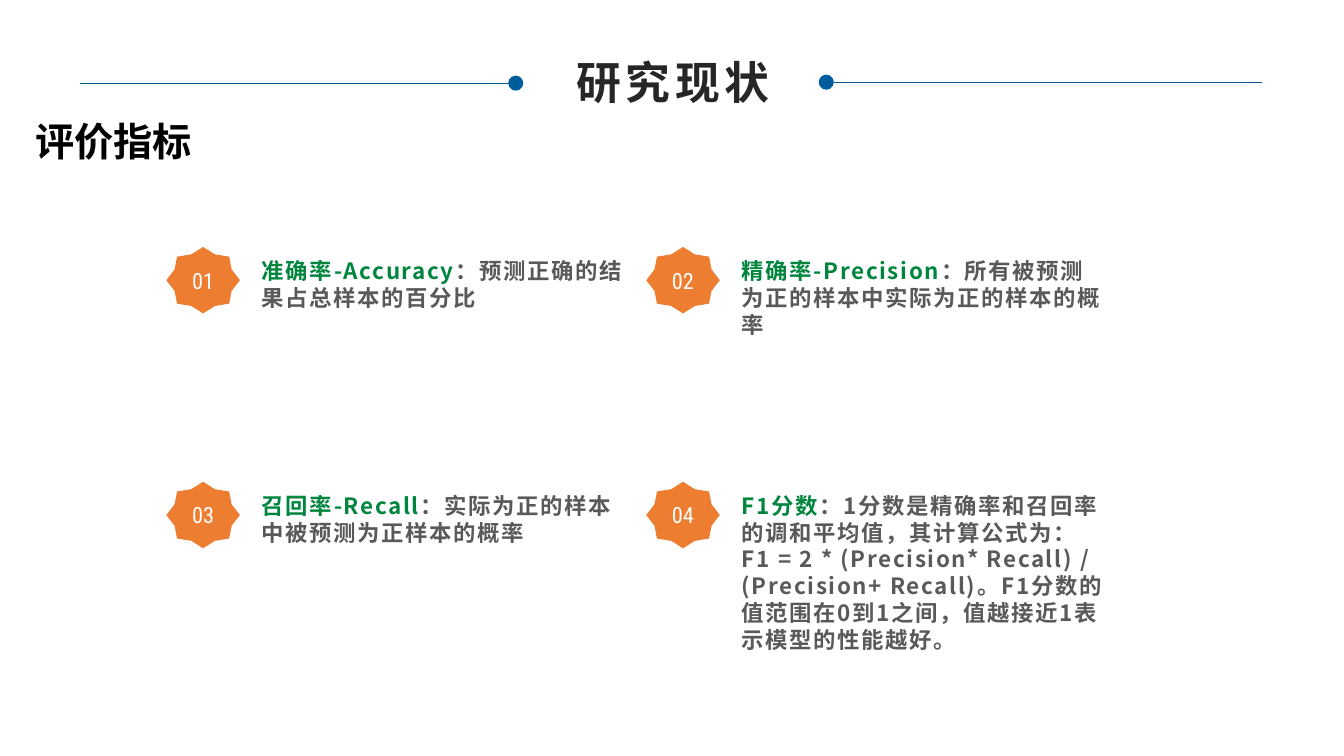
from pptx import Presentation
from pptx.dml.color import RGBColor
from pptx.enum import shapes, text
from pptx.oxml.ns import qn
from pptx.util import Pt
from lxml import etree

TITLE = "研究现状"
HEAD = "评价指标"
ITEMS = [
    ("准确率-Accuracy", "：预测正确的结果占总样本的百分比", 64),
    ("精确率-Precision", "：所有被预测为正的样本中实际为正的样本的概率", 91),
    ("召回率-Recall", "：实际为正的样本中被预测为正样本的概率", 64),
    ("F1分数", "：1分数是精确率和召回率的调和平均值，其计算公式为："
     "F1 = 2 * (Precision* Recall) / (Precision+ Recall)。"
     "F1分数的值范围在0到1之间，值越接近1表示模型的性能越好。", 172),
]
RULES = [(79, 504, 83, 504), (1252, 827, 82, 812)]
BLUE, ORANGE, GREEN = "005D9D", "ED7D31", "00853E"
GRAY, DARK, BLACK, WHITE = "595959", "262626", "000000", "FFFFFF"
CJK, LATIN, NUM = "Noto Sans CJK SC", "Calibri", "Roboto Condensed"
LEFT, TOP, COL, ROW = 165, 245, 476, 233
PX = 9144


def px(*vals):
    return [v * PX for v in vals]


def tint(hue):
    return RGBColor.from_string(hue)


def add_run(para, words, size, font, hue, bold=True, gap=0):
    run = para.add_run()
    run.text = words
    run.font.size = Pt(size)
    run.font.name = font
    run.font.bold = bold
    run.font.color.rgb = tint(hue)
    props = run.font._element
    etree.SubElement(props, qn("a:ea")).set("typeface", CJK)
    if gap:
        props.set("spc", str(gap))


def set_frame(box, wrap, lead, align=text.PP_ALIGN.LEFT):
    frame = box.text_frame
    frame.word_wrap = wrap
    frame.auto_size = text.MSO_AUTO_SIZE.SHAPE_TO_FIT_TEXT
    frame.vertical_anchor = text.MSO_ANCHOR.TOP
    para = frame.paragraphs[0]
    para.alignment = align
    para.line_spacing = Pt(lead)
    return para


def add_form(kind, spot, hue):
    form = slide.shapes.add_shape(kind, *px(*spot))
    form.shadow.inherit = False
    form.fill.solid()
    form.fill.fore_color.rgb = tint(hue)
    form.line.fill.background()
    return form


deck = Presentation()
deck.slide_width, deck.slide_height = px(1333, 750)
slide = deck.slides.add_slide(deck.slide_layouts[5])

for start, end, y, dot in RULES:
    line = slide.shapes.add_connector(
        shapes.MSO_CONNECTOR.STRAIGHT, *px(start, y, end, y))
    line.line.color.rgb = tint(BLUE)
    line.line.width = Pt(0.25)
    etree.SubElement(line._element.spPr, qn("a:effectLst"))
    add_form(shapes.MSO_SHAPE.OVAL, (dot, y - 8, 15, 15), BLUE)

title = slide.shapes.title
title.left, title.top, title.width, title.height = px(559, 48, 217, 64)
para = set_frame(title, False, 39, text.PP_ALIGN.CENTER)
add_run(para, TITLE, 32, LATIN, DARK, gap=300)

head = slide.shapes.add_textbox(*px(25, 111, 177, 57))
add_run(set_frame(head, False, 34), HEAD, 28, CJK, BLACK)

for i, (term, note, high) in enumerate(ITEMS):
    row, col = divmod(i, 2)
    x, y = LEFT + col * COL, TOP + row * ROW
    star = add_form(shapes.MSO_SHAPE.STAR_8_POINT, (x, y, 73, 66), ORANGE)
    star.adjustments[0] = 0.42
    star.text_frame.word_wrap = False
    star.text_frame.vertical_anchor = text.MSO_ANCHOR.MIDDLE
    para = star.text_frame.paragraphs[0]
    para.alignment = text.PP_ALIGN.CENTER
    add_run(para, f"{i + 1:02}", 16, NUM, WHITE, bold=False)

    box = slide.shapes.add_textbox(*px(x + 85, y + 5, 382, high))
    para = set_frame(box, True, 19.2)
    add_run(para, term, 16, CJK, GREEN, gap=120)
    add_run(para, note, 16, CJK, GRAY, gap=120)

deck.save("out.pptx")
